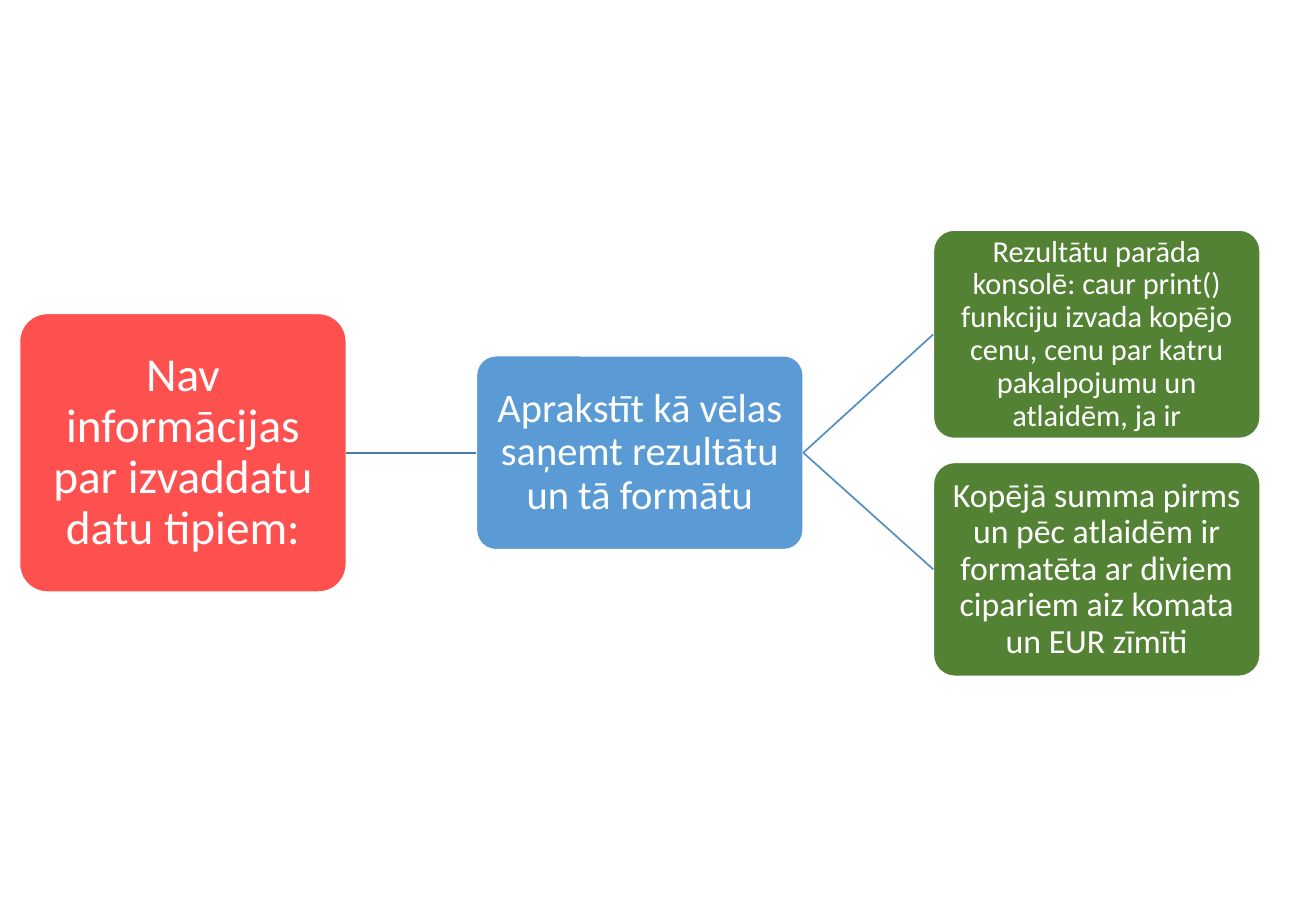
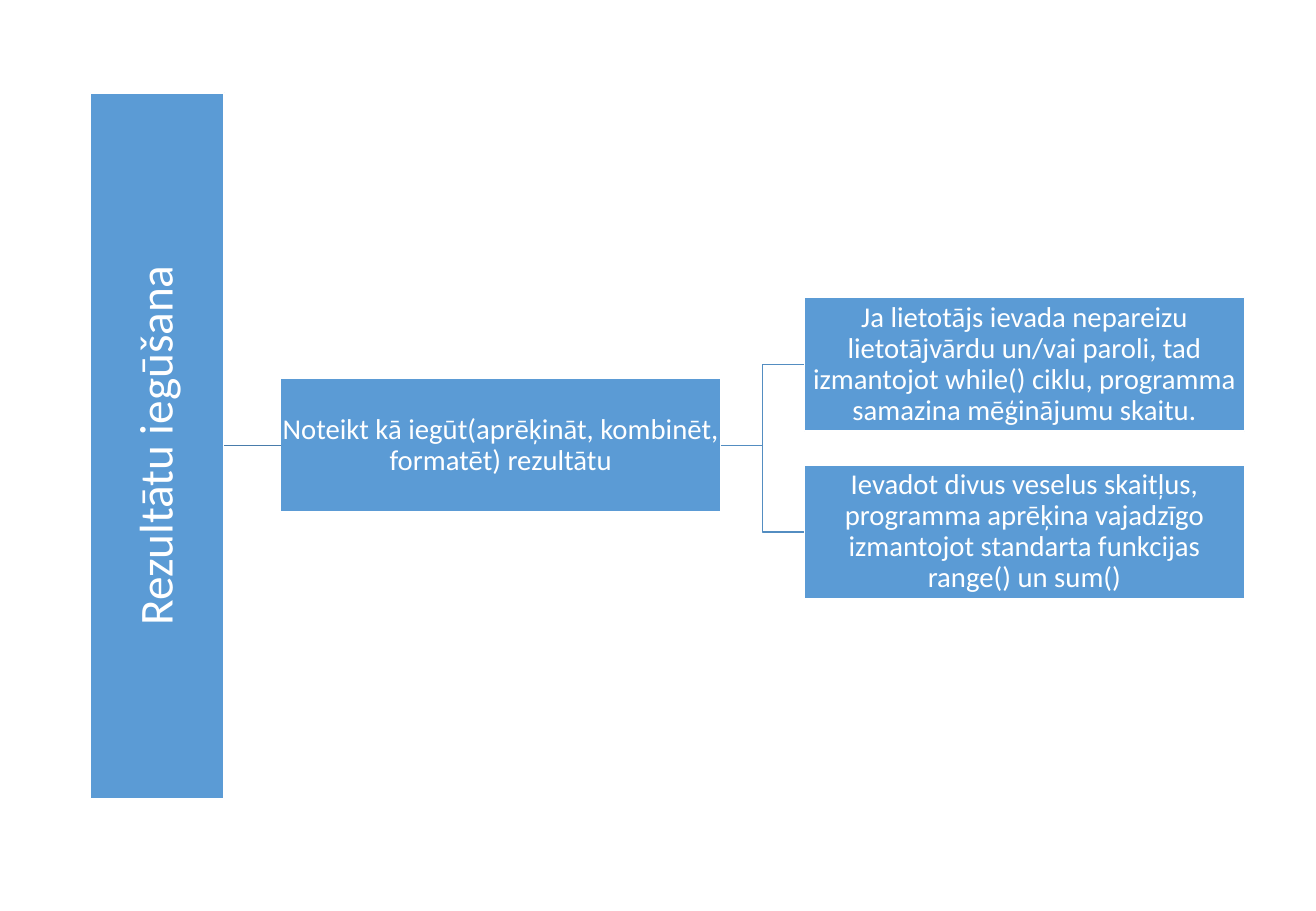
from collections import namedtuple

from lxml import etree
from pptx import Presentation
from pptx import util as u
from pptx.dml.color import RGBColor
from pptx.enum import shapes, text
from pptx.oxml.ns import qn

RED, BLUE, GREEN, WHITE = "FF5050", "5B9BD5", "548235", "FFFFFF"
MAIN_LINK, BRANCH_LINK = "497CAB", "538DC1"
RECT = shapes.MSO_SHAPE.RECTANGLE
ROUNDED = shapes.MSO_SHAPE.ROUNDED_RECTANGLE
STRAIGHT, ELBOW = shapes.MSO_CONNECTOR.STRAIGHT, shapes.MSO_CONNECTOR.ELBOW

Ends = namedtuple("Ends", "left right middle")


def rgb(value):
    return RGBColor.from_string(value)


class Diagram:
    """Draws linked boxes; all lengths are percentages of the slide's size."""

    font = "Calibri"

    def __init__(self, deck):
        self.deck = deck
        self.slide = None

    def page(self):
        self.slide = self.deck.slides.add_slide(self.deck.slide_layouts[6])

    def across(self, share):
        return round(self.deck.slide_width * share / 100)

    def down(self, share):
        return round(self.deck.slide_height * share / 100)

    def box(self, words, center, size, points, fill=BLUE, kind=RECT, turn=0):
        x, y = self.across(center[0]), self.down(center[1])
        width, height = self.across(size[0]), self.down(size[1])
        box = self.slide.shapes.add_shape(
            kind, x - width // 2, y - height // 2, width, height)
        if kind == ROUNDED:
            box.adjustments[0] = 0.1
        box.rotation = turn
        box.shadow.inherit = False
        box.fill.solid()
        box.fill.fore_color.rgb = rgb(fill)
        box.line.color.rgb = rgb(WHITE)
        box.line.width = u.Pt(1)
        self.label(box.text_frame, words, points)
        reach = (height if turn else width) // 2
        return Ends(x - reach, x + reach, y)

    def label(self, frame, words, points):
        frame.word_wrap = True
        frame.vertical_anchor = text.MSO_ANCHOR.MIDDLE
        inset = u.Inches(0.02 if points > 20 else 0.01)
        frame.margin_left = frame.margin_right = inset
        frame.margin_top = frame.margin_bottom = inset
        para = frame.paragraphs[0]
        para.text = words
        para.alignment = text.PP_ALIGN.CENTER
        para.line_spacing = 0.9
        para.font.name = self.font
        para.font.size = u.Pt(points)
        para.font.color.rgb = rgb(WHITE)

    def link(self, start, end, color=BRANCH_LINK, kind=STRAIGHT):
        line = self.slide.shapes.add_connector(
            kind, start.right, start.middle, end.left, end.middle)
        line.line.color.rgb = rgb(color)
        line.line.width = u.Pt(1)
        etree.SubElement(line._element.spPr, qn("a:effectLst"))


def output_format(diagram):
    diagram.page()
    width, middle = 24.84, 49.7
    columns = [13.9 + 34.72 * column for column in range(3)]
    problem = diagram.box("Nav informācijas par izvaddatu datu tipiem:",
                          (columns[0], middle), (width, 30.6), 28, RED, ROUNDED)
    task = diagram.box("Aprakstīt kā vēlas saņemt rezultātu un tā formātu",
                       (columns[1], middle), (width, 21.3), 24, BLUE, ROUNDED)
    diagram.link(problem, task, MAIN_LINK)
    answers = [
        ("Rezultātu parāda konsolē: caur print() funkciju izvada kopējo cenu, "
         "cenu par katru pakalpojumu un atlaidēm, ja ir", 36.7, 22.9, 18),
        ("Kopējā summa pirms un pēc atlaidēm ir formatēta ar diviem cipariem "
         "aiz komata un EUR zīmīti", 62.5, 23.5, 20),
    ]
    for words, y, height, points in answers:
        answer = diagram.box(words, (columns[2], y), (width, height), points,
                             GREEN, ROUNDED)
        diagram.link(task, answer)


def getting_results(diagram):
    diagram.page()
    middle, size = 48.9, (33.45, 14.7)
    columns = [38.05, 77.85]
    topic = diagram.box("Rezultātu iegūšana", (11.96, middle),
                        (53.65, size[1]), 28, turn=270)
    task = diagram.box("Noteikt kā iegūt(aprēķināt, kombinēt, formatēt) rezultātu",
                       (columns[0], middle), size, 17)
    diagram.link(topic, task, MAIN_LINK)
    answers = [
        ("Ja lietotājs ievada nepareizu lietotājvārdu un/vai paroli, tad "
         "izmantojot while() ciklu, programma samazina mēģinājumu skaitu.", 40),
        ("Ievadot divus veselus skaitļus, programma aprēķina vajadzīgo "
         "izmantojot standarta funkcijas range() un sum()", 58.4),
    ]
    for words, y in answers:
        answer = diagram.box(words, (columns[1], y), size, 17)
        diagram.link(task, answer, kind=ELBOW)


def main():
    deck = Presentation()
    deck.slide_width, deck.slide_height = u.Inches(10.83), u.Inches(7.5)
    diagram = Diagram(deck)
    output_format(diagram)
    getting_results(diagram)
    deck.save("out.pptx")


if __name__ == "__main__":
    main()
